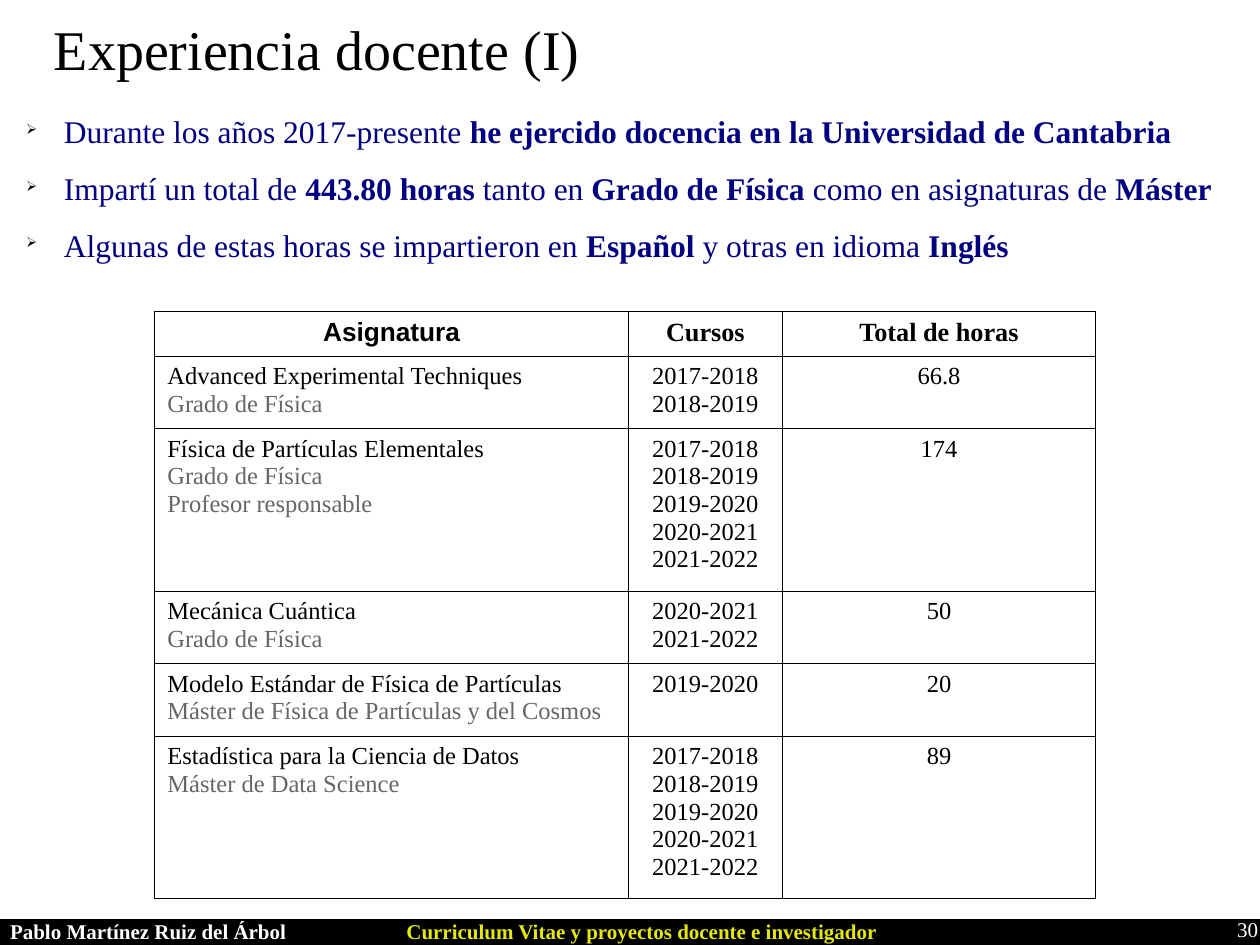
from lxml import etree
from pptx import Presentation
from pptx.dml.color import RGBColor
from pptx.enum.shapes import MSO_SHAPE
from pptx.enum.text import MSO_ANCHOR, PP_ALIGN
from pptx.oxml.ns import qn
from pptx.util import Cm, Pt

RECT = MSO_SHAPE.RECTANGLE
LEFT, CENTER = PP_ALIGN.LEFT, PP_ALIGN.CENTER
MIDDLE, TOP = MSO_ANCHOR.MIDDLE, MSO_ANCHOR.TOP
SERIF = "Times New Roman"


def rgb(color):
    return RGBColor.from_string(color)


def style(p, size, color, bold=False, font=SERIF, align=LEFT, spacing=1.02):
    p.alignment = align
    p.line_spacing = spacing
    for r in p.runs:
        r.font.name = font
        r.font.size = Pt(size)
        r.font.bold = bold
        r.font.color.rgb = rgb(color)


prs = Presentation()
prs.slide_width, prs.slide_height = Cm(25.4), Cm(19.05)
s = prs.slides.add_slide(prs.slide_layouts[5])

bar = s.shapes.add_shape(RECT, Cm(0), Cm(18.54), Cm(25.4), Cm(0.56))
bar.shadow.inherit = False
bar.fill.solid()
bar.fill.fore_color.rgb = rgb("000000")
bar.line.color.rgb = rgb("000000")
bar.line.width = Pt(0.75)

footers = [
    ("Pablo Martínez Ruiz del Árbol", -0.5, 18.39, 6.98, "FFFFFF", True, CENTER),
    ("Curriculum Vitae y proyectos docente e investigador", 6.8, 18.39, 12.28, "E6E905", True, CENTER),
    ("30", 24.69, 18.34, 1.78, "FFFFFF", False, LEFT),
]
for text, left, top, width, color, bold, align in footers:
    tf = s.shapes.add_textbox(Cm(left), Cm(top), Cm(width), Cm(0.94)).text_frame
    tf.word_wrap = True
    tf.text = text
    style(tf.paragraphs[0], 12, color, bold, align=align)

title = s.shapes.title
title.left, title.top, title.width, title.height = Cm(0.08), Cm(0.05), Cm(12.62), Cm(1.8)
title.text_frame.text = "Experiencia docente (I)"
title.text_frame.vertical_anchor = MIDDLE
style(title.text_frame.paragraphs[0], 32, "000000", align=CENTER)

bullets = [
    [("Durante los años 2017-presente ", False),
     ("he ejercido docencia en la Universidad de Cantabria", True)],
    [("Impartí un total de ", False), ("443.80 horas", True), (" tanto en ", False),
     ("Grado de Física", True), (" como en asignaturas de ", False), ("Máster", True)],
    [("Algunas de estas horas se impartieron en ", False), ("Español ", True),
     ("y otras en idioma", False), (" Inglés", True)],
]
tf = s.shapes.add_textbox(Cm(0.2), Cm(1.68), Cm(26), Cm(3.05)).text_frame
tf.word_wrap = True
tf.margin_left = tf.margin_right = Cm(0.33)
tf.margin_top = tf.margin_bottom = Cm(0.2)
for i, parts in enumerate(bullets):
    p = tf.add_paragraph() if i else tf.paragraphs[0]
    for text, bold in parts:
        p.add_run().text = text
    style(p, 18, "000080", spacing=1.5)
    for r, (text, bold) in zip(p.runs, parts):
        r.font.bold = bold
    pPr = p._p.get_or_add_pPr()
    pPr.set("marL", str(Cm(0.76)))
    pPr.set("indent", str(-Cm(0.76)))
    color = etree.SubElement(pPr, qn("a:buClr"))
    etree.SubElement(color, qn("a:srgbClr"), val="000000")
    etree.SubElement(pPr, qn("a:buSzPct"), val="45000")
    etree.SubElement(pPr, qn("a:buChar"), char="➢")

years = ["2017-2018", "2018-2019", "2019-2020", "2020-2021", "2021-2022"]
rows = [
    (["Asignatura"], ["Cursos"], ["Total de horas"]),
    (["Advanced Experimental Techniques", "Grado de Física"], years[:2], ["66.8"]),
    (["Física de Partículas Elementales", "Grado de Física", "Profesor responsable"], years, ["174"]),
    (["Mecánica Cuántica", "Grado de Física"], years[3:], ["50"]),
    (["Modelo Estándar de Física de Partículas", "Máster de Física de Partículas y del Cosmos"],
     years[2:3], ["20"]),
    (["Estadística para la Ciencia de Datos", "Máster de Data Science"], years, ["89"]),
]
widths = [9.55, 3.1, 6.32]
heights = [0.91, 1.45, 3.23, 1.45, 1.45, 3.23]
table = s.shapes.add_table(len(rows), len(widths), Cm(3.12), Cm(6.27),
                           Cm(sum(widths)), Cm(sum(heights))).table
table.first_row = table.horz_banding = False
for column, width in zip(table.columns, widths):
    column.width = Cm(width)
for i, row in enumerate(rows):
    table.rows[i].height = Cm(heights[i])
    for j, lines in enumerate(row):
        cell = table.cell(i, j)
        cell.vertical_anchor = TOP
        cell.text_frame.text = "\n".join(lines)
        for k, p in enumerate(cell.text_frame.paragraphs):
            if i == 0:
                style(p, 15, "000000", True, SERIF if j else "Arial", CENTER)
            elif j == 0:
                style(p, 14, "666666" if k else "000000")
            else:
                style(p, 14, "000000", align=CENTER)
        tcPr = cell._tc.get_or_add_tcPr()
        for side in ("lnL", "lnR", "lnT", "lnB"):
            ln = etree.SubElement(tcPr, qn(f"a:{side}"), w=str(Pt(0.57)))
            fill = etree.SubElement(ln, qn("a:solidFill"))
            etree.SubElement(fill, qn("a:srgbClr"), val="000000")
        cell.fill.background()

prs.save("out.pptx")
